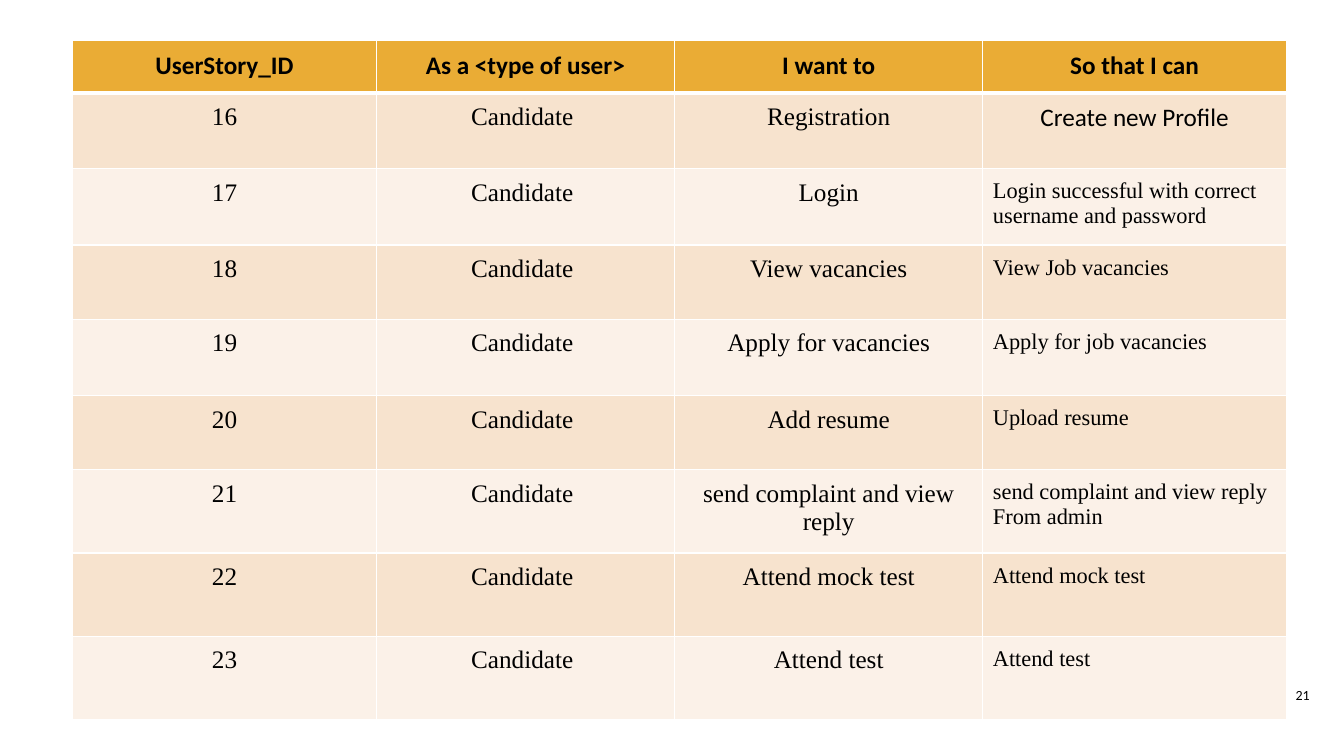
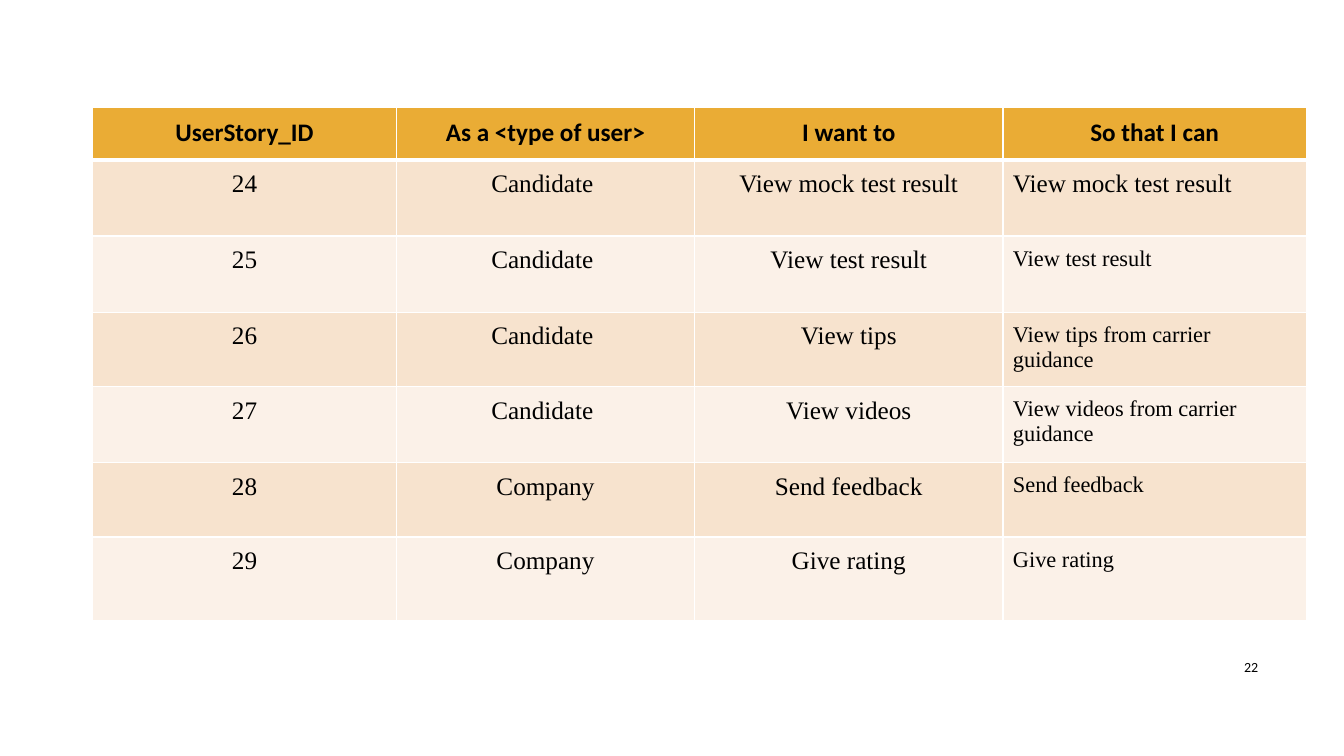
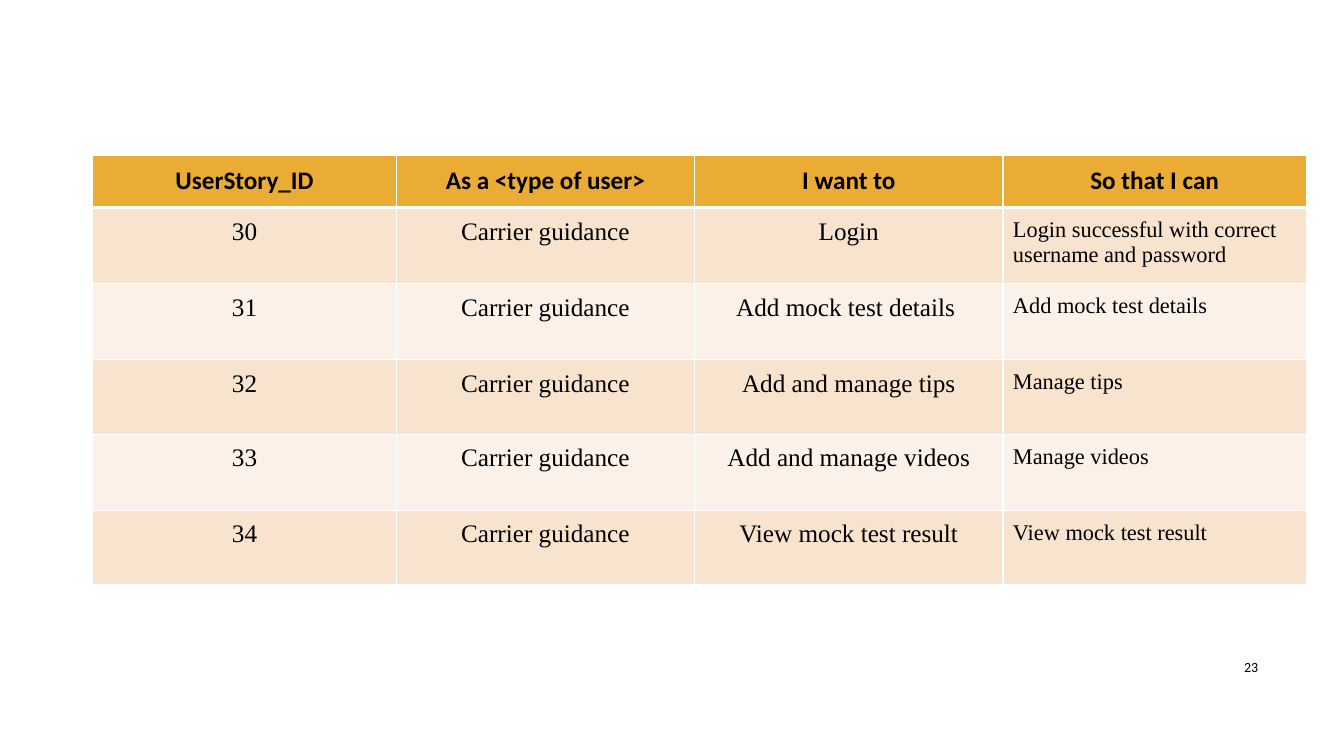
from dataclasses import dataclass

from lxml import etree
from pptx import Presentation
from pptx.dml.color import RGBColor
from pptx.enum import text
from pptx.oxml import ns
from pptx.util import Pt

LEFT, CENTER, RIGHT, JUSTIFY = (
    text.PP_ALIGN.LEFT, text.PP_ALIGN.CENTER,
    text.PP_ALIGN.RIGHT, text.PP_ALIGN.JUSTIFY)


@dataclass(frozen=True)
class Theme:
    ink: str = "000000"
    header: str = "EAAC35"
    bands: tuple = ("F7E3CE", "FBF1E8")
    rule: str = "FFFFFF"
    sans: str = "Calibri"
    serif: str = "Times New Roman"
    body: int = 18
    detail: int = 16
    number: int = 10
    thin: int = 1
    thick: int = 3
    inset: float = 7.2


# Table geometry, in points
COLUMNS = (216.8, 213.1, 220.2, 216.8)
HEADER_HEIGHT = 37.2
ROW_HEIGHTS = (54.4, 54.4, 53.1, 54.4, 53.1, 59.5, 59.5, 59.5)
HEADERS = ("UserStory_ID", "As a <type of user>", "I want to", "So that I can")


def write(tf, content, *, font, size, color, bold=False, align=LEFT):
    """Fill a text frame, one paragraph for each line."""
    for i, line in enumerate(content.split("\n")):
        p = tf.add_paragraph() if i else tf.paragraphs[0]
        p.alignment = align
        r = p.add_run()
        r.text = line
        r.font.name = font
        r.font.size = Pt(size)
        r.font.bold = bold
        r.font.color.rgb = RGBColor.from_string(color)


class Deck:
    def __init__(self, theme):
        self.theme = theme
        self.prs = Presentation()
        self.prs.slide_width, self.prs.slide_height = Pt(960), Pt(540)
        self.slide = None

    def new_slide(self):
        self.slide = self.prs.slides.add_slide(self.prs.slide_layouts[6])

    def borders(self, cell, **widths):
        tc_pr = cell._tc.get_or_add_tcPr()
        for side, width in widths.items():
            ln = etree.SubElement(tc_pr, ns.qn(f"a:ln{side}"), w=str(Pt(width)))
            fill = etree.SubElement(ln, ns.qn("a:solidFill"))
            etree.SubElement(fill, ns.qn("a:srgbClr"), val=self.theme.rule)

    def cell(self, cell, row, content, **style):
        t = self.theme
        cell.margin_left = cell.margin_right = Pt(t.inset)
        cell.margin_top = cell.margin_bottom = Pt(t.inset)
        self.borders(cell, L=t.thin, R=t.thin,
                     T=t.thick if row == 1 else t.thin,
                     B=t.thick if row == 0 else t.thin)
        cell.fill.solid()
        color = t.bands[(row - 1) % 2] if row else t.header
        cell.fill.fore_color.rgb = RGBColor.from_string(color)
        look = dict(font=t.serif, size=t.body, color=t.ink, align=CENTER)
        write(cell.text_frame, content, **(look | style))

    def story_table(self, left, top, first_id, stories):
        """Each story is (user, want, benefit) plus optional benefit style."""
        t = self.theme
        heights = (HEADER_HEIGHT,) + ROW_HEIGHTS[:len(stories)]
        sp = self.slide.shapes.add_table(
            len(heights), len(COLUMNS), Pt(left), Pt(top),
            Pt(sum(COLUMNS)), Pt(sum(heights)))
        table = sp.table
        table.horz_banding = False
        for column, width in zip(table.columns, COLUMNS):
            column.width = Pt(width)
        for row, height in zip(table.rows, heights):
            row.height = Pt(height)

        # Header row
        for c, label in enumerate(HEADERS):
            self.cell(table.cell(0, c), 0, label, font=t.sans, bold=True)

        # Story rows
        for r, (user, want, benefit, *extra) in enumerate(stories, 1):
            for c, content in enumerate((str(first_id + r - 1), user, want)):
                self.cell(table.cell(r, c), r, content)
            style = dict(size=t.detail, align=LEFT)
            for change in extra:
                style |= change
            self.cell(table.cell(r, 3), r, benefit, **style)

    def page_number(self, number, left, top, width, height):
        t = self.theme
        sp = self.slide.shapes.add_textbox(
            Pt(left), Pt(top), Pt(width), Pt(height))
        tf = sp.text_frame
        tf.word_wrap = True
        tf.vertical_anchor = text.MSO_ANCHOR.MIDDLE
        write(tf, str(number), font=t.sans, size=t.number, color=t.ink,
              align=RIGHT)


THEME = Theme()
CANDIDATE, COMPANY, GUIDANCE = "Candidate ", "Company", "Carrier guidance"
LOGIN_OK = "Login successful with correct username and password"
NUMBER_BOX = (862.6, 462.2, 43.2, 28.8)

# Page number, its box, table corner, first story and stories
PAGES = (
    (21, (898.6, 483.8, 43.9, 25.9), (52, 29), 16, (
        (CANDIDATE, "Registration", "Create new Profile",
         dict(font=THEME.sans, size=THEME.body, align=CENTER)),
        (CANDIDATE, "Login", LOGIN_OK),
        (CANDIDATE, "View vacancies", "View Job vacancies"),
        (CANDIDATE, "Apply for vacancies", "Apply for job vacancies"),
        (CANDIDATE, "Add resume", "Upload resume"),
        (CANDIDATE, "send complaint and view reply",
         "send complaint and view reply\nFrom admin"),
        (CANDIDATE, "Attend mock test", "Attend mock test"),
        (CANDIDATE, "Attend test", "Attend test"),
    )),
    (22, NUMBER_BOX, (66.3, 77), 24, (
        (CANDIDATE, "View mock test result", "View mock test result",
         dict(size=THEME.body)),
        (CANDIDATE, "View test result", "View test result"),
        (CANDIDATE, "View tips", "View tips from carrier guidance"),
        (CANDIDATE, "View videos", "View videos from carrier guidance"),
        (COMPANY, "Send feedback", "Send feedback", dict(align=JUSTIFY)),
        (COMPANY, "Give rating", "Give rating", dict(align=JUSTIFY)),
    )),
    (23, NUMBER_BOX, (66.3, 111), 30, (
        (GUIDANCE, "Login", LOGIN_OK),
        (GUIDANCE, "Add mock test details ", "Add mock test details"),
        (GUIDANCE, "Add and manage tips", "Manage tips"),
        (GUIDANCE, "Add and manage videos", "Manage videos"),
        (GUIDANCE, "View mock test result", "View mock test result"),
    )),
)


def main():
    deck = Deck(THEME)
    for number, number_box, corner, first_id, stories in PAGES:
        deck.new_slide()
        deck.story_table(*corner, first_id, stories)
        deck.page_number(number, *number_box)
    deck.prs.save("out.pptx")


if __name__ == "__main__":
    main()
